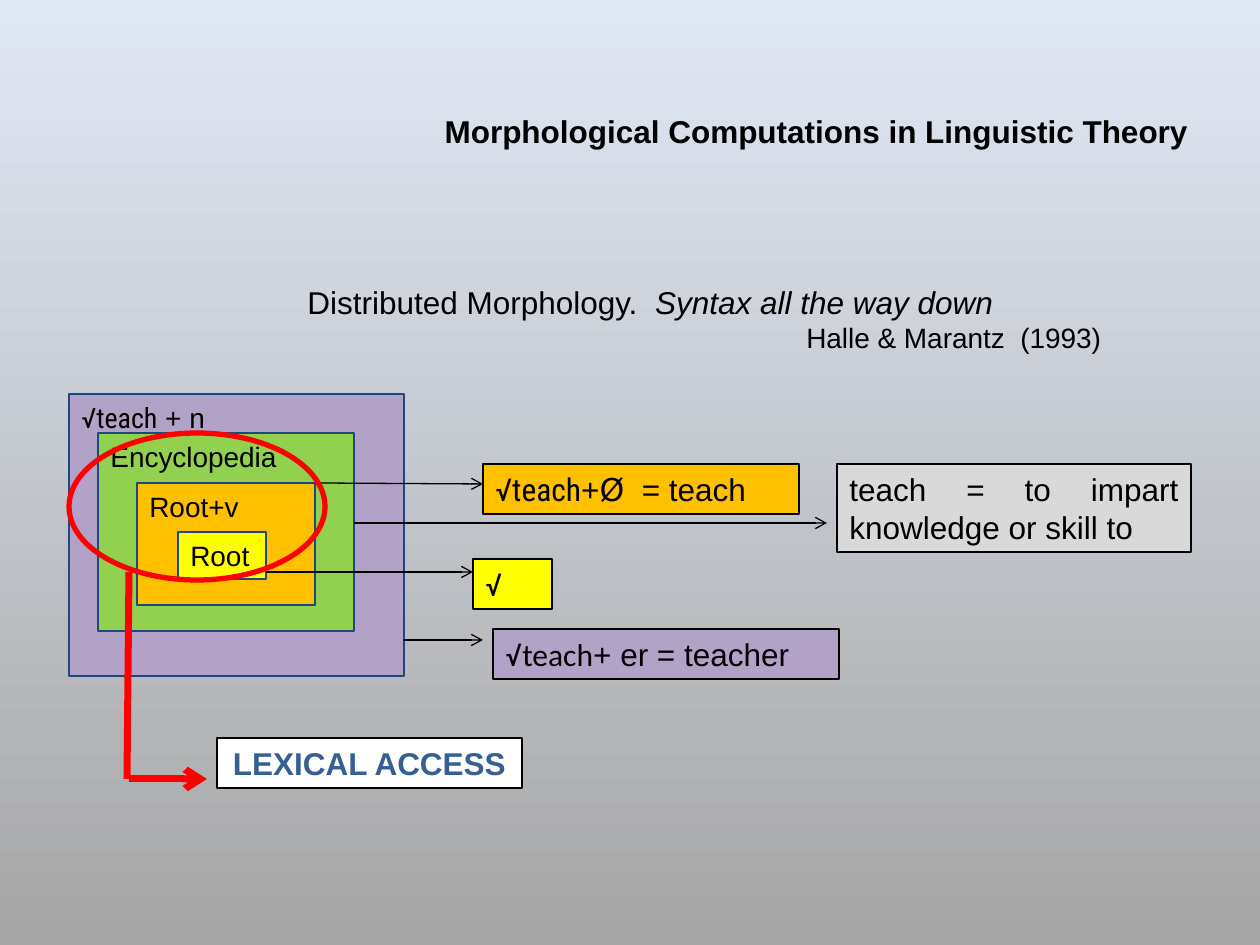
from lxml import etree
from pptx import Presentation
from pptx.dml.color import RGBColor
from pptx.enum.shapes import MSO_CONNECTOR, MSO_SHAPE
from pptx.enum.text import MSO_ANCHOR, MSO_AUTO_SIZE, PP_ALIGN
from pptx.oxml.ns import qn
from pptx.util import Emu, Pt

RECT, OVAL = MSO_SHAPE.RECTANGLE, MSO_SHAPE.OVAL
STRAIGHT = MSO_CONNECTOR.STRAIGHT
LEFT, CENTER, JUSTIFY = PP_ALIGN.LEFT, PP_ALIGN.CENTER, PP_ALIGN.JUSTIFY

EMU_PER_PX = 914400 / 126
COLORS = {
    "black": "000000", "white": "FFFFFF", "red": "FF0000", "navy": "1F497D",
    "blue": "376092", "purple": "B3A2C7", "green": "92D050", "orange": "FFC000",
    "yellow": "FFFF00", "gray": "D9D9D9", "sky": "E1E8F5", "ash": "A6A6A6",
}
ROOT_FONT = {"name": "Roboto Condensed"}


def px(n):
    return Emu(round(n * EMU_PER_PX))


def rgb(name):
    return RGBColor.from_string(COLORS[name])


def shifted(box, part):
    """Slide coordinates of a (left, top, width, height) part inside box."""
    left, top, width, height = part
    return box[0] + left, box[1] + top, width, height


def write_runs(p, runs, size, color="black", align=LEFT):
    """Add (text, font values) runs to a paragraph."""
    p.alignment = align
    for text, values in runs:
        r = p.add_run()
        r.text = text
        font = {"name": "Arial", "size": Pt(size), **values}
        for key, value in font.items():
            setattr(r.font, key, value)
        r.font.color.rgb = rgb(color)


def prepare_frame(tf):
    values = {"word_wrap": True, "auto_size": MSO_AUTO_SIZE.NONE,
              "vertical_anchor": MSO_ANCHOR.TOP}
    for key, value in values.items():
        setattr(tf, key, value)


def add_outline(slide, kind, box, fill, line, width):
    sp = slide.shapes.add_shape(kind, *map(px, box))
    sp.shadow.inherit = False
    if fill:
        sp.fill.solid()
        sp.fill.fore_color.rgb = rgb(fill)
    else:
        sp.fill.background()
    sp.line.color.rgb = rgb(line)
    sp.line.width = Pt(width)
    return sp


def add_label(slide, box, fill, runs, size=18, line="black", **text_format):
    sp = add_outline(slide, RECT, box, fill, line, 0.75)
    prepare_frame(sp.text_frame)
    write_runs(sp.text_frame.paragraphs[0], runs, size, **text_format)


def add_line(slide, box, ends, color="black", width=0.75, arrow=True):
    """Draw a line between two points given relative to box."""
    x1, y1, x2, y2 = ends
    points = box[0] + x1, box[1] + y1, box[0] + x2, box[1] + y2
    cxn = slide.shapes.add_connector(STRAIGHT, *map(px, points))
    cxn.line.color.rgb = rgb(color)
    cxn.line.width = Pt(width)
    if arrow:
        etree.SubElement(cxn.line._get_or_add_ln(), qn("a:tailEnd"), type="arrow")
    etree.SubElement(cxn._element.spPr, qn("a:effectLst"))


def set_background(slide):
    fill = slide.background.fill
    fill.gradient()
    fill.gradient_angle = 270
    for stop, color in zip(fill.gradient_stops, ("sky", "ash")):
        stop.color.rgb = rgb(color)


def set_title(slide, box):
    title = slide.shapes.title
    for key, value in zip(("left", "top", "width", "height"), box):
        setattr(title, key, px(value))
    prepare_frame(title.text_frame)
    runs = [("Morphological Computations in Linguistic Theory", {"bold": True})]
    write_runs(title.text_frame.paragraphs[0], runs, 18)


def add_theory(slide, box):
    tf = slide.shapes.add_textbox(*map(px, box)).text_frame
    prepare_frame(tf)
    write_runs(tf.paragraphs[0], [("Distributed Morphology. ", {}),
                                  (" Syntax all the way down", {"italic": True})], 18)
    citation = tf.add_paragraph()
    citation._p.get_or_add_pPr().set("marL", str(px(499)))
    write_runs(citation, [("Halle & Marantz  (1993)", {})], 16)


def add_nested_domains(slide, box):
    domains = [
        ((0, 0, 335, 282), "purple", [("√teach", ROOT_FONT), (" + n", {})]),
        ((29, 39, 256, 198), "green", [("Encyclopedia", {})]),
        ((68, 89, 178, 122), "orange", [("Root+v", {})]),
        ((109, 138, 88, 47), "yellow", [("Root", {})]),
    ]
    for part, fill, runs in domains:
        add_label(slide, shifted(box, part), fill, runs, size=16, line="navy")


def add_results(slide, box):
    """Arrows leading from the domains to what each one yields."""
    results = [
        ((49, 19, 217, 20), (217, 0, 316, 50), "orange", LEFT,
         [("√teach", ROOT_FONT), ("+", {}), ("Ø", {"name": "DejaVu Sans"}),
          ("  = teach", {})]),
        ((88, 59, 561, 59), (571, 0, 354, 88), "gray", JUSTIFY,
         [("teach = to impart knowledge or skill to", {})]),
        ((137, 176, 217, 176), (227, 165, 346, 50), "purple", LEFT,
         [("√", ROOT_FONT), ("teach", {"name": "Calibri"}), ("+ er = teacher", {})]),
        ((0, 108, 207, 108), (207, 95, 79, 50), "yellow", LEFT, [("√", ROOT_FONT)]),
    ]
    for arrow, part, fill, align, runs in results:
        add_line(slide, box, arrow)
        add_label(slide, shifted(box, part), fill, runs, align=align)


def add_lexical_access(slide, box):
    add_outline(slide, OVAL, shifted(box, (0, 0, 256, 147)), None, "red", 3)
    add_line(slide, box, (60, 139, 58, 346), "red", 4, arrow=False)
    add_line(slide, box, (60, 346, 138, 346), "red", 4)
    add_label(slide, shifted(box, (148, 305, 305, 50)), "white",
              [("LEXICAL ACCESS", {"bold": True})], color="blue", align=CENTER)


def main():
    prs = Presentation()
    prs.slide_width, prs.slide_height = px(1260), px(945)
    slide = prs.slides.add_slide(prs.slide_layouts[5])
    set_background(slide)
    set_title(slide, (432, 106, 1123, 50))
    add_theory(slide, (295, 277, 1123, 88))
    add_nested_domains(slide, (69, 394, 335, 282))
    add_results(slide, (266, 464, 925, 215))
    add_lexical_access(slide, (69, 433, 453, 355))
    prs.save("out.pptx")


if __name__ == "__main__":
    main()
